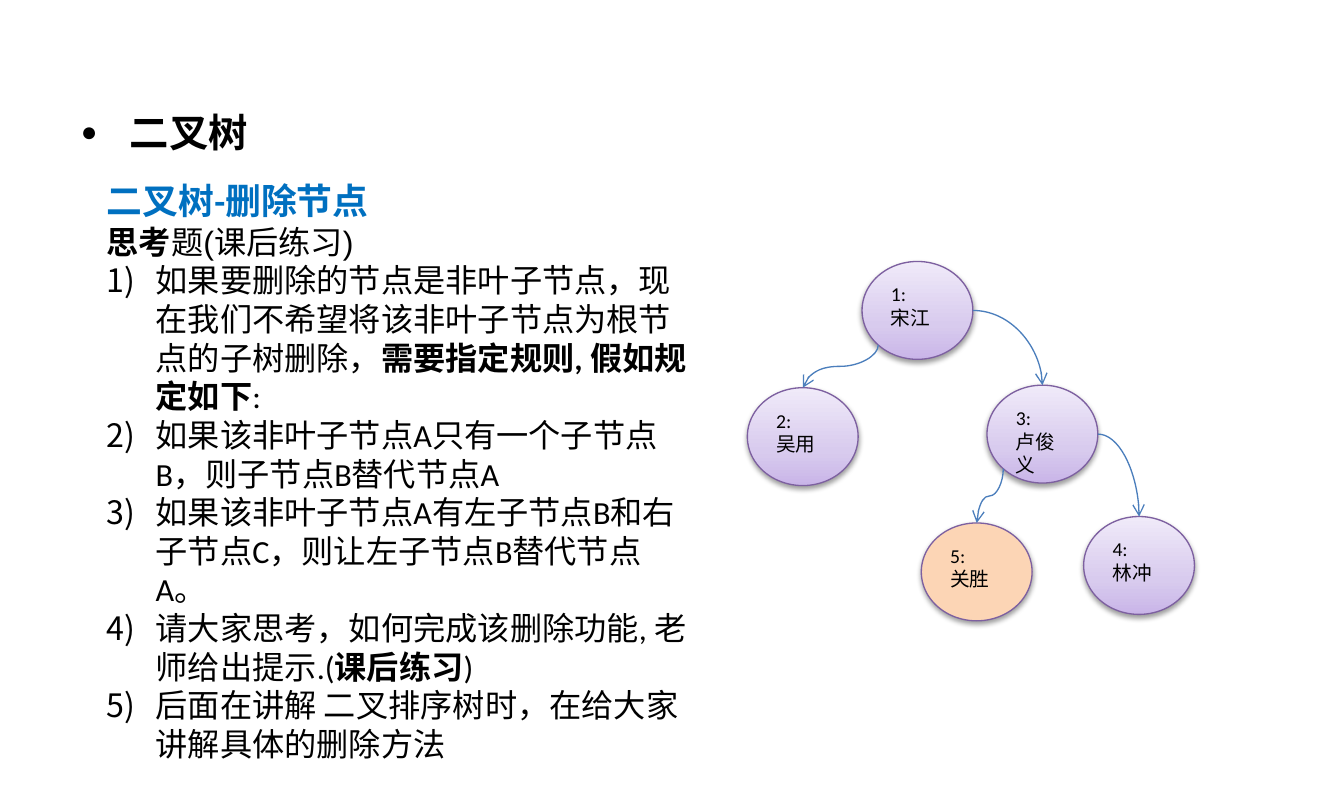
import lxml.etree
import pptx
import pptx.dml.color
import pptx.enum.shapes
import pptx.enum.text
import pptx.oxml
import pptx.oxml.ns
import pptx.util

Inches = pptx.util.Inches
Pt = pptx.util.Pt
qn = pptx.oxml.ns.qn

NODE_WIDTH, NODE_HEIGHT = 0.86, 0.76
DIAGONAL = 0.5 ** 0.5
LOWER_LEFT, RIGHT, TOP = 3, 6, 0

HEADING = {"size": Pt(22), "name": "Arial", "bold": True}
SUBHEADING = {"size": Pt(20), "name": "Calibri", "bold": True}
LEAD = {"size": Pt(18), "name": "Arial", "bold": True}
LEAD_PLAIN = {"size": Pt(18), "name": "Arial", "bold": False}
PLAIN = {"size": Pt(18), "name": "Calibri", "bold": False}
STRONG = {"size": Pt(18), "name": "Calibri", "bold": True}
LABEL = {"size": Pt(11), "name": "Calibri", "bold": False}

ROUND_BULLET = [
    '<a:buClr {ns}><a:srgbClr val="000000"/></a:buClr>',
    '<a:buSzPct {ns} val="70000"/>',
    '<a:buFont {ns} typeface="Arial"/>',
    '<a:buChar {ns} char="●"/>',
]
NUMBER_BULLET = [
    '<a:buFont {ns} typeface="+mj-lt"/>',
    '<a:buAutoNum {ns} type="arabicParenR"/>',
]
NODE_GRADIENT = (
    '<a:gradFill {ns} rotWithShape="1"><a:gsLst>'
    '<a:gs pos="0"><a:srgbClr val="C9B5E8"/></a:gs>'
    '<a:gs pos="35000"><a:srgbClr val="D8CBEE"/></a:gs>'
    '<a:gs pos="100000"><a:srgbClr val="F0EAF9"/></a:gs>'
    '</a:gsLst><a:lin ang="16200000" scaled="1"/></a:gradFill>'
)
NODE_SHADOW = (
    '<a:outerShdw {ns} blurRad="39370" dist="20320" dir="5400000" rotWithShape="0">'
    '<a:srgbClr val="000000"><a:alpha val="38000"/></a:srgbClr></a:outerShdw>'
)

RULES = [
    [
        ("如果", LEAD_PLAIN),
        ("要删除的节点是非叶子节点，现在我们不希望将该非叶子节点为根节点的子树删除，", PLAIN),
        ("需要指定规则, 假如规定如下", STRONG),
        (":", PLAIN),
    ],
    [("如果该非叶子节点A只有一个子节点B，则子节点B替代节点A", PLAIN)],
    [("如果该非叶子节点A有左子节点B和右子节点C，则让左子节点B替代节点A。", PLAIN)],
    [
        ("请大家思考，如何完成该删除功能, 老师给出提示.(", PLAIN),
        ("课后练习", STRONG),
        (")", PLAIN),
    ],
    [("后面在讲解 二叉排序树时，在给大家讲解具体的删除方法", PLAIN)],
]

NODES = {
    1: ("宋江", 0.89, 0),
    2: ("吴用", 0, 0.98),
    3: ("卢俊义", 1.86, 0.96),
    4: ("林冲", 2.61, 1.98),
    5: ("关胜", 1.35, 2.03),
}
DELETED_NODE = 5
EDGES = [(1, 2, LOWER_LEFT), (1, 3, RIGHT), (3, 5, LOWER_LEFT), (3, 4, RIGHT)]


def color(value):
    return pptx.dml.color.RGBColor.from_string(value)


def xml(template):
    return pptx.oxml.parse_xml(template.replace("{ns}", pptx.oxml.ns.nsdecls("a")))


def add_spans(para, spans, ink="000000"):
    for text, style in spans:
        span = para.add_run()
        span.text = text
        for attribute, value in style.items():
            setattr(span.font, attribute, value)
        span.font.color.rgb = color(ink)


def set_bullet(para, bullet):
    properties = para._p.get_or_add_pPr()
    properties.set("marL", str(Inches(0.38)))
    properties.set("indent", str(-Inches(0.38)))
    for part in bullet:
        properties.append(xml(part))


def add_frame(page, left, top, width, height):
    box = page.shapes.add_textbox(Inches(left), Inches(top), Inches(width), Inches(height))
    frame = box.text_frame
    frame.word_wrap = True
    frame.auto_size = pptx.enum.text.MSO_AUTO_SIZE.SHAPE_TO_FIT_TEXT
    return frame


def add_heading(page, left, top, width, height):
    para = add_frame(page, left, top, width, height).paragraphs[0]
    set_bullet(para, ROUND_BULLET)
    para.line_spacing = 0.9
    add_spans(para, [("二叉树", HEADING)])


def add_exercise(page, left, top, width, height):
    frame = add_frame(page, left, top, width, height)
    add_spans(frame.paragraphs[0], [("二叉树-删除节点", SUBHEADING)], "0070C0")
    add_spans(frame.add_paragraph(), [("思考", LEAD), ("题(课后练习)", LEAD_PLAIN)])
    for rule in RULES:
        para = frame.add_paragraph()
        set_bullet(para, NUMBER_BULLET)
        add_spans(para, rule)


def add_node(page, number, name, left, top):
    node = page.shapes.add_shape(
        pptx.enum.shapes.MSO_SHAPE.OVAL,
        Inches(left), Inches(top), Inches(NODE_WIDTH), Inches(NODE_HEIGHT),
    )
    node.line.color.rgb = color("7D60A0")
    node.line.width = Pt(0.75)
    if number == DELETED_NODE:
        node.fill.solid()
        node.fill.fore_color.rgb = color("FCD5B5")
    else:
        node._element.spPr.find(qn("a:prstGeom")).addnext(xml(NODE_GRADIENT))
    node.shadow.inherit = False
    node._element.spPr.find(qn("a:effectLst")).append(xml(NODE_SHADOW))
    frame = node.text_frame
    frame.word_wrap = True
    frame.vertical_anchor = pptx.enum.text.MSO_ANCHOR.TOP
    for index, text in enumerate([f"{number}:", name]):
        para = frame.add_paragraph() if index else frame.paragraphs[0]
        para.alignment = pptx.enum.text.PP_ALIGN.LEFT
        add_spans(para, [(text, LABEL)])
    return node


def add_edge(page, parent, child, site):
    across, down = (1, 0) if site == RIGHT else (-DIAGONAL, DIAGONAL)
    start_x = parent.left + parent.width * (1 + across) / 2
    start_y = parent.top + parent.height * (1 + down) / 2
    end_x, end_y = child.left + child.width / 2, child.top
    edge = page.shapes.add_connector(
        pptx.enum.shapes.MSO_CONNECTOR.CURVE,
        int(start_x), int(start_y), int(end_x), int(end_y),
    )
    properties = edge._element.spPr
    if site == RIGHT:
        properties.find(qn("a:prstGeom")).set("prst", "curvedConnector2")
    else:
        width, height = end_y - start_y, start_x - end_x
        edge.left = int((start_x + end_x - width) / 2)
        edge.top = int((start_y + end_y - height) / 2)
        edge.width, edge.height = int(width), int(height)
        frame = properties.find(qn("a:xfrm"))
        frame.attrib.pop("flipH", None)
        frame.set("rot", "5400000")
    edge.line.color.rgb = color("4B7EBC")
    edge.line.width = Pt(0.75)
    edge.line._get_or_add_ln().append(xml('<a:tailEnd {ns} type="arrow"/>'))
    lxml.etree.SubElement(properties, qn("a:effectLst"))
    links = edge._element.find(qn("p:nvCxnSpPr")).find(qn("p:cNvCxnSpPr"))
    for tag, node, index in [("a:stCxn", parent, site), ("a:endCxn", child, TOP)]:
        lxml.etree.SubElement(links, qn(tag), id=str(node.shape_id), idx=str(index))


def add_tree(page, left, top):
    nodes = {
        number: add_node(page, number, name, left + across, top + down)
        for number, (name, across, down) in NODES.items()
    }
    for parent, child, site in EDGES:
        add_edge(page, nodes[parent], nodes[child], site)


def main():
    deck = pptx.Presentation()
    deck.slide_width, deck.slide_height = Inches(10.43), Inches(6.14)
    page = deck.slides.add_slide(deck.slide_layouts[6])
    add_heading(page, 0.53, 0.83, 8.3, 0.43)
    add_exercise(page, 0.73, 1.34, 4.72, 4.98)
    add_tree(page, 5.8, 2.03)
    deck.save("out.pptx")


if __name__ == "__main__":
    main()
